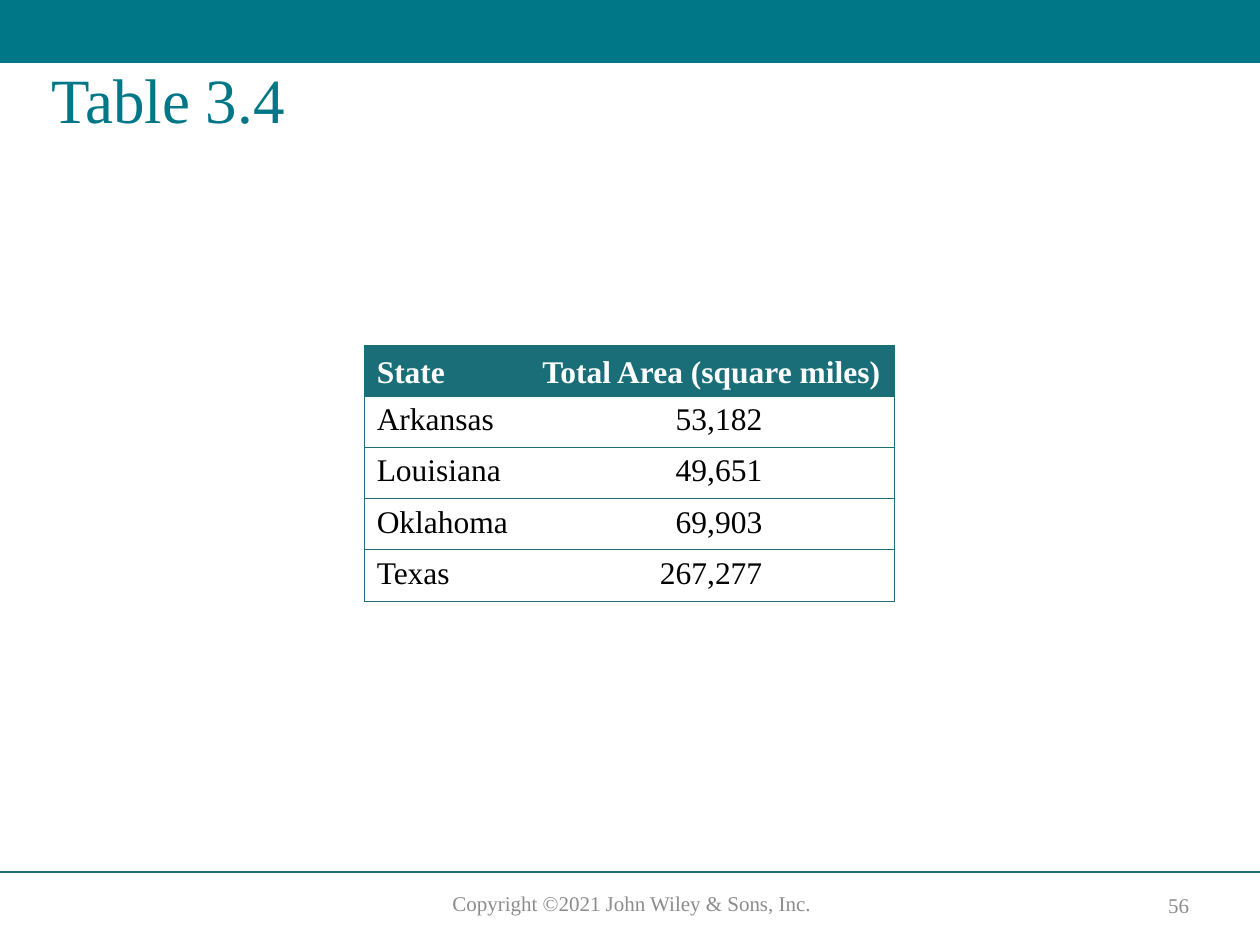
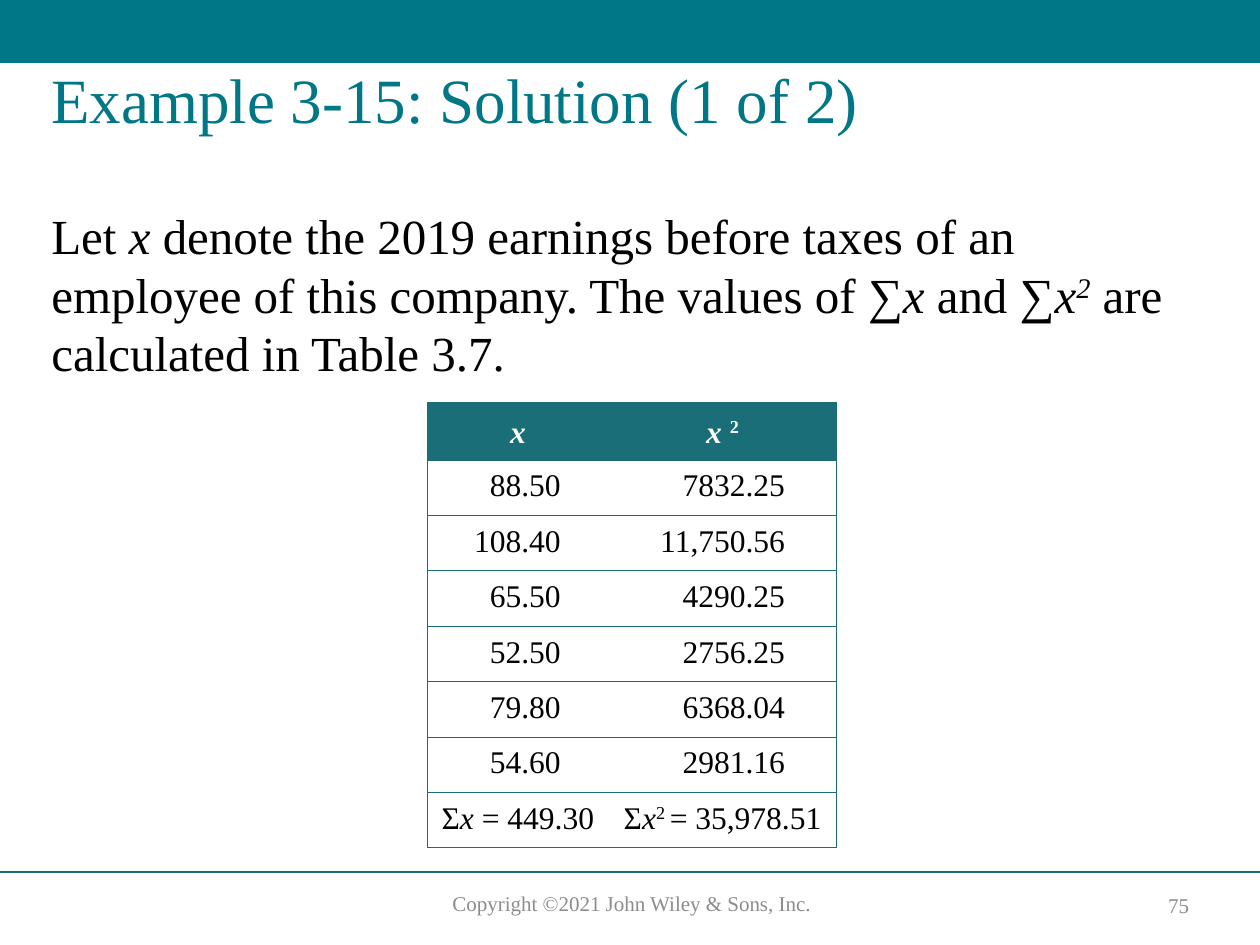
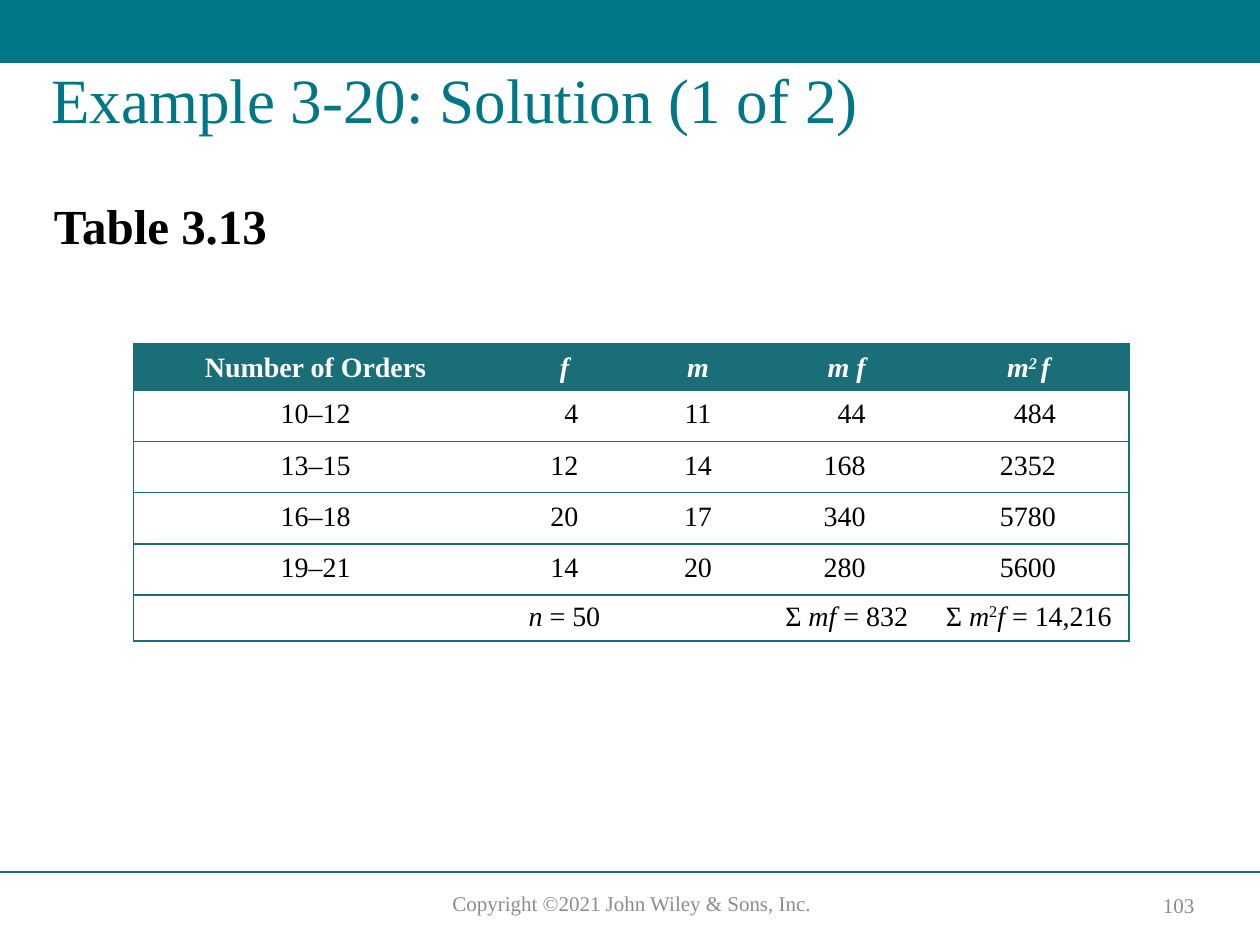
import pptx
import pptx.util
import pptx.dml.color
import pptx.enum.shapes
import pptx.enum.text
import pptx.oxml.ns
import lxml.etree

WIDE, HIGH = 10, 7.5
UNIT = WIDE / 100
FONT = "Times New Roman"
TEAL, DARK, GREY, BLACK, WHITE = "007787", "196E78", "8C8C8C", "000000", "FFFFFF"
ALIGN = pptx.enum.text.PP_ALIGN
ANCHOR = pptx.enum.text.MSO_ANCHOR
qn = pptx.oxml.ns.qn


def tint(code):
    return pptx.dml.color.RGBColor.from_string(code)


def grid(*cells):
    return [pptx.util.Inches(cell * UNIT) for cell in cells]


def write(frame, runs, size=18, color=BLACK, bold=False, align=ALIGN.LEFT,
          after=0, lead=None):
    para = frame.paragraphs[0]
    para.alignment = align
    para.space_before = pptx.util.Pt(0)
    para.space_after = pptx.util.Pt(after)
    if lead:
        para.line_spacing = lead
    for part in [runs] if isinstance(runs, str) else runs:
        words, style = (part, "") if isinstance(part, str) else part
        if not words:
            end = lxml.etree.SubElement(para._p, qn("a:endParaRPr"))
            end.set("sz", str(size * 100))
            continue
        run = para.add_run()
        run.text = words
        run.font.name = FONT
        run.font.size = pptx.util.Pt(size)
        run.font.color.rgb = tint(color)
        run.font.bold = bold
        run.font.italic = "i" in style
        if "^" in style:
            run._r.get_or_add_rPr().set("baseline", "30000")


def label(slide, at, runs, anchor=ANCHOR.TOP, **style):
    frame = slide.shapes.add_textbox(*grid(*at)).text_frame
    frame.word_wrap = True
    frame.vertical_anchor = anchor
    write(frame, runs, **style)


def band(slide):
    bar = slide.shapes.add_shape(
        pptx.enum.shapes.MSO_SHAPE.RECTANGLE, *grid(0, 0, 100, 5))
    bar.shadow.inherit = False
    bar.fill.solid()
    bar.fill.fore_color.rgb = tint(TEAL)
    bar.line.fill.background()


def rule(slide, row):
    line = slide.shapes.add_connector(
        pptx.enum.shapes.MSO_CONNECTOR.STRAIGHT, *grid(0, row, 100, row))
    line.line.color.rgb = tint(DARK)
    line.line.width = pptx.util.Pt(1)
    lxml.etree.SubElement(line._element.spPr, qn("a:effectLst"))


def page(deck, title, number):
    slide = deck.slides.add_slide(deck.slide_layouts[6])
    band(slide)
    rule(slide, 69.2)
    note = dict(size=12, color=GREY, align=ALIGN.CENTER)
    label(slide, (32.2, 70.2, 35.9, 3), "Copyright ©2021 John Wiley & Sons, Inc.", **note)
    label(slide, (90.5, 70.4, 6.1, 2.8), str(number), anchor=ANCHOR.MIDDLE, **note)
    label(slide, (3.1, 5, 93.3, 12.5), title, size=36, color=TEAL, lead=0.9)
    return slide


def border(cell, sides, width):
    props = cell._tc.get_or_add_tcPr()
    for side in "LRTB":
        edge = lxml.etree.SubElement(props, qn("a:ln" + side))
        if side in sides:
            edge.set("w", str(pptx.util.Pt(width)))
            fill = lxml.etree.SubElement(edge, qn("a:solidFill"))
            lxml.etree.SubElement(fill, qn("a:srgbClr")).set("val", DARK)
        else:
            edge.set("w", "0")
            lxml.etree.SubElement(edge, qn("a:noFill"))


def table(slide, spot, cols, rows, data, ends, pads, size=18, width=0.5, total=False):
    shape = slide.shapes.add_table(
        len(rows), len(cols), *grid(*spot, sum(cols), sum(rows)))
    body = shape.table
    body.horz_banding = False
    for col, span in zip(body.columns, grid(*cols)):
        col.width = span
    for row, span in zip(body.rows, grid(*rows)):
        row.height = span
    last = len(rows) - 1
    for r, line in enumerate(data):
        head, foot = r == 0, total and r == last
        for c, runs in enumerate(line):
            cell, end = body.cell(r, c), ends[c]
            border(cell, "TB" + "L" * (c == 0) + "R" * (c == len(cols) - 1), width)
            cell.fill.solid()
            cell.fill.fore_color.rgb = tint(DARK if head else WHITE)
            cell.vertical_anchor = ANCHOR.BOTTOM if head else ANCHOR.TOP
            pad = pads[0 if head else 2 if foot else 1]
            cell.margin_top, cell.margin_bottom = grid(pad, pad)
            cell.margin_left, cell.margin_right = grid(*[1 if end == "left" else 0.8] * 2)
            align = ALIGN.LEFT if end == "left" else ALIGN.CENTER
            if not head and not foot and not isinstance(end, str):
                align = ALIGN.RIGHT
                cell.margin_right = grid(end)[0]
            write(cell.text_frame, runs, size=size, bold=head, align=align,
                  color=WHITE if head else BLACK, after=0 if head else 3)


def states(deck):
    slide = page(deck, "Table 3.4", 56)
    data = [
        ("State", "Total Area (square miles)"),
        ("Arkansas", "53,182"),
        ("Louisiana", "49,651"),
        ("Oklahoma", "69,903"),
        ("Texas", "267,277"),
    ]
    table(slide, (28.9, 27.4), (13, 29.1), [4.06] * 5, data,
          ends=("left", 10.5), pads=(0.5, 0.5))


def wages(deck):
    slide = page(deck, "Example 3-15: Solution (1 of 2)", 75)
    label(slide, (3.1, 15.8, 93.3, 16.7), [
        "Let ", ("x", "i"),
        " denote the 2019 earnings before taxes of an employee of this company. "
        "The values of ", ("∑x", "i"), " and ", ("∑x", "i"), ("2", "i^"),
        " are calculated in Table 3.7."], size=28)
    data = [
        ([("x", "i")], [("x ", "i"), ("2", "^")]),
        ("88.50", "7832.25"),
        ("108.40", "11,750.56"),
        ("65.50", "4290.25"),
        ("52.50", "2756.25"),
        ("79.80", "6368.04"),
        ("54.60", "2981.16"),
        (["Σ", ("x", "i"), " = 449.30"],
         ["Σ", ("x", "i"), ("2 ", "^"), "= 35,978.51"]),
    ]
    table(slide, (33.9, 31.9), (14.4, 18.1), [4.4] + [4.1] * 7, data,
          ends=(3.8, 4.1), pads=(0.8, 0.7, 0.7), total=True)


def orders(deck):
    slide = page(deck, "Example 3-20: Solution (1 of 2)", 103)
    label(slide, (3.3, 15, 93.3, 6), "Table 3.13", size=28, bold=True)
    data = [
        ("Number of Orders", [("f", "i")], [("m", "i")], [("m f", "i")],
         [("m", "i"), ("2 ", "i^"), ("f", "i")]),
        ("10–12", "4", "11", "44", "484"),
        ("13–15", "12", "14", "168", "2352"),
        ("16–18", "20", "17", "340", "5780"),
        ("19–21", "14", "20", "280", "5600"),
        ("", [("n", "i"), " = 50"], "", ["Σ ", ("mf", "i"), " = 832"],
         ["Σ ", ("m", "i"), ("2", "^"), ("f", "i"), " = 14,216"]),
    ]
    table(slide, (10.6, 27.3), (28.9, 10.6, 10.6, 13, 15.9), [3.6] + [3.8] * 4 + [3.6],
          data, ends=("mid", 4.2, "mid", 5, 5.8), pads=(0.5, 0.7, 0.5),
          size=16, width=1, total=True)


def main():
    deck = pptx.Presentation()
    deck.slide_width = pptx.util.Inches(WIDE)
    deck.slide_height = pptx.util.Inches(HIGH)
    states(deck)
    wages(deck)
    orders(deck)
    deck.save("out.pptx")


if __name__ == "__main__":
    main()
